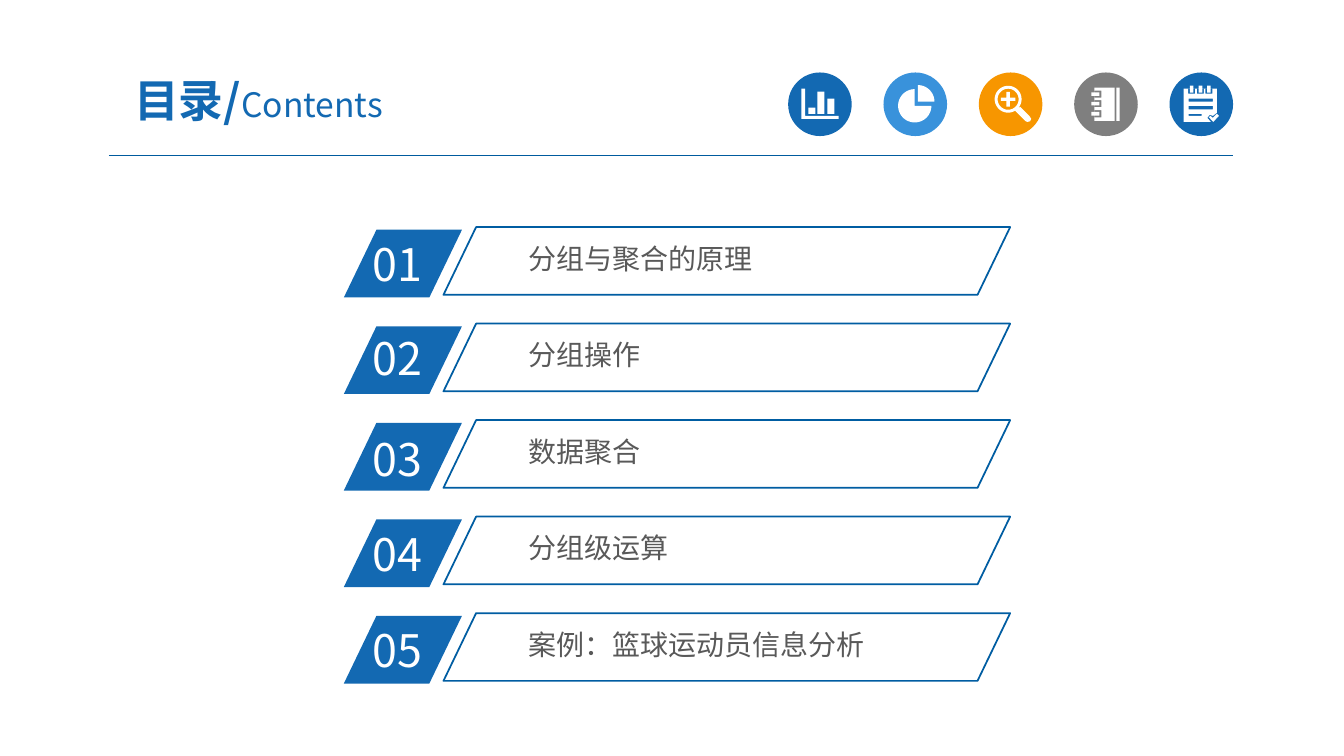
from dataclasses import dataclass
from math import cos, radians, sin

from lxml import etree
from pptx import Presentation
from pptx.dml.color import RGBColor
from pptx.enum.shapes import MSO_CONNECTOR, MSO_SHAPE
from pptx.enum.text import MSO_ANCHOR, MSO_AUTO_SIZE, PP_ALIGN
from pptx.oxml.ns import qn
from pptx.util import Pt

STRAIGHT = MSO_CONNECTOR.STRAIGHT
OVAL = MSO_SHAPE.OVAL
PARALLELOGRAM = MSO_SHAPE.PARALLELOGRAM
MIDDLE, TOP = MSO_ANCHOR.MIDDLE, MSO_ANCHOR.TOP
CENTER, LEFT = PP_ALIGN.CENTER, PP_ALIGN.LEFT
GROW, FIXED = MSO_AUTO_SIZE.SHAPE_TO_FIT_TEXT, MSO_AUTO_SIZE.NONE

Contour = list[tuple[float, float]]


@dataclass(frozen=True)
class Theme:
    font: str = "Noto Sans CJK SC"
    blue: str = "1369B2"
    sky: str = "3992DB"
    orange: str = "F79600"
    gray: str = "7F7F7F"
    rule: str = "005B9E"
    outline: str = "005DA2"
    body: str = "595959"
    white: str = "FFFFFF"
    title_size: float = 32
    subtitle_size: float = 24
    number_size: float = 32
    topic_size: float = 20


THEME = Theme()


@dataclass(frozen=True)
class Span:
    text: str
    size: float
    color: str
    bold: bool = False


@dataclass(frozen=True)
class Badge:
    color: str
    glyph: list[Contour]


@dataclass(frozen=True)
class Topic:
    number: str
    title: str
    number_top: float


def rect(left: float, top: float, right: float, bottom: float) -> Contour:
    return [(left, top), (right, top), (right, bottom), (left, bottom)]


def arc(x: float, y: float, radius: float, start: int = 0, end: int = 360) -> Contour:
    """Points along an arc, in degrees clockwise from the right."""
    angles = [radians(angle) for angle in range(start, end + 1, 6)]
    return [(x + radius * cos(angle), y + radius * sin(angle)) for angle in angles]


def sector(x: float, y: float, radius: float, start: int, end: int) -> Contour:
    return [(x, y)] + arc(x, y, radius, start, end)


def plus(x: float, y: float, reach: float, half: float) -> Contour:
    return [(x - half, y - reach), (x + half, y - reach), (x + half, y - half),
            (x + reach, y - half), (x + reach, y + half), (x + half, y + half),
            (x + half, y + reach), (x - half, y + reach), (x - half, y + half),
            (x - reach, y + half), (x - reach, y - half), (x - half, y - half)]


# Glyph points are measured from the top left of the disc; nested contours cut holes.
BAR_CHART = [
    [(9.4, 11.5), (12.2, 11.5), (12.2, 31), (36, 31), (36, 33.1), (9.4, 33.1)],
    rect(14.4, 25.2, 19.4, 29.5), rect(20.9, 13.7, 25.9, 29.5), rect(28.1, 18.7, 33.1, 29.5),
]
PIE_CHART = [sector(24.5, 20.9, 11.9, -90, 0), sector(22.3, 23.8, 11.9, 0, 270)]
MAGNIFIER = [
    arc(20.9, 19.1, 9.6), arc(20.9, 19.1, 7.5), plus(20.9, 19.1, 5.2, 1.2),
    [(29.5, 24.5), (36, 31), (37.4, 33.1), (36.5, 34.9), (34.6, 35.3), (33.1, 34.6), (25.9, 27.4)],
]
NOTEBOOK = [rect(30.2, 10.8, 32.4, 34.6), rect(14.4, 10.8, 28.8, 34.6)]
for ring_y in (15.5, 22.3, 29.5):
    NOTEBOOK += [rect(14.4, ring_y - 2.5, 19.4, ring_y + 2.5),
                 rect(12.2, ring_y - 1.3, 18, ring_y + 1.3)]
NOTEPAD = [
    [(10.1, 11.5), (33.8, 11.5), (33.8, 28.8), (31, 31), (28.8, 30.2), (27, 32.4),
     (29.5, 35.3), (10.1, 35.3)],
    [(28.1, 32), (29.2, 31), (31, 32.4), (33.8, 29.5), (35.3, 31), (31.2, 35.3)],
    rect(13.7, 18.7, 31, 20.9), rect(13.7, 23.9, 31, 26.3), rect(13.7, 29.5, 23, 31),
]
for ring_x in (15.8, 22.1, 28.1):
    NOTEPAD += [rect(ring_x - 2.5, 11.5, ring_x + 2.5, 15.1),
                rect(ring_x - 1.3, 9.4, ring_x + 1.3, 14.4)]

BADGES = [
    Badge(THEME.blue, BAR_CHART),
    Badge(THEME.sky, PIE_CHART),
    Badge(THEME.orange, MAGNIFIER),
    Badge(THEME.gray, NOTEBOOK),
    Badge(THEME.blue, NOTEPAD),
]
BADGE_LEFT, BADGE_TOP, BADGE_PITCH, BADGE_SIZE = 563, 51.8, 68.1, 45.4

TOPICS = [
    Topic("01", "分组与聚合的原理", 165.6),
    Topic("02", "分组操作", 232.6),
    Topic("03", "数据聚合", 304.6),
    Topic("04", "分组级运算", 373),
    Topic("05", "案例：篮球运动员信息分析", 441.4),
]
TOPIC_TOP, TOPIC_PITCH, TOPIC_HEIGHT = 162.2, 68.94, 48.4


def paint(shape, fill: str | None = None, line: str | None = None, width: float = 1.25) -> None:
    shape.shadow.inherit = False
    if fill:
        shape.fill.solid()
        shape.fill.fore_color.rgb = RGBColor.from_string(fill)
    else:
        shape.fill.background()
    if line:
        shape.line.color.rgb = RGBColor.from_string(line)
        shape.line.width = Pt(width)
    else:
        shape.line.fill.background()


def add_text(shapes, left: float, top: float, width: float, height: float, *spans: Span,
             align=LEFT, anchor=TOP, fit=GROW, inset_x: float = 7.2, inset_y: float = 3.6) -> None:
    box = shapes.add_textbox(Pt(left), Pt(top), Pt(width), Pt(height))
    frame = box.text_frame
    frame.word_wrap = True
    frame.auto_size = fit
    frame.vertical_anchor = anchor
    frame.margin_left = frame.margin_right = Pt(inset_x)
    frame.margin_top = frame.margin_bottom = Pt(inset_y)
    para = frame.paragraphs[0]
    para.alignment = align
    for span in spans:
        run = para.add_run()
        run.text = span.text
        run.font.size = Pt(span.size)
        run.font.bold = span.bold
        run.font.color.rgb = RGBColor.from_string(span.color)
        run.font.name = THEME.font
        etree.SubElement(run.font._element, qn("a:ea"), typeface=THEME.font)


def add_slanted(shapes, left: float, top: float, width: float, **style: str) -> None:
    shape = shapes.add_shape(PARALLELOGRAM, Pt(left), Pt(top), Pt(width), Pt(TOPIC_HEIGHT))
    shape.adjustments[0] = 0.482
    paint(shape, **style)


def add_badge(page, badge: Badge, left: float) -> None:
    shapes = page.shapes.add_group_shape().shapes
    disc = shapes.add_shape(OVAL, Pt(left), Pt(BADGE_TOP), Pt(BADGE_SIZE), Pt(BADGE_SIZE))
    paint(disc, fill=badge.color)
    contours = [[(Pt(left + x), Pt(BADGE_TOP + y)) for x, y in contour] for contour in badge.glyph]
    builder = shapes.build_freeform(*contours[0][0])
    for contour in contours:
        if contour is not contours[0]:
            builder.move_to(*contour[0])
        builder.add_line_segments(contour[1:], close=True)
    paint(builder.convert_to_shape(), fill=THEME.white)


def add_topic(page, topic: Topic, top: float) -> None:
    shapes = page.shapes.add_group_shape().shapes
    add_slanted(shapes, 245.6, top + 1.9, 84.4, fill=THEME.blue)
    add_text(shapes, 259.2, topic.number_top, 80.6, 46,
             Span(topic.number, THEME.number_size, THEME.white))
    add_text(shapes, 372.2, top + 7.5, 296.6, 29.5,
             Span(topic.title, THEME.topic_size, THEME.body), inset_x=5, inset_y=2.6)
    add_slanted(shapes, 316.8, top, 404.8, line=THEME.outline)


def main() -> None:
    deck = Presentation()
    deck.slide_width, deck.slide_height = Pt(960), Pt(540)
    page = deck.slides.add_slide(deck.slide_layouts[6])

    rule = page.shapes.add_connector(STRAIGHT, Pt(77.8), Pt(111.4), Pt(880.6), Pt(111.4))
    rule.line.color.rgb = RGBColor.from_string(THEME.rule)
    rule.line.width = Pt(0.75)
    etree.SubElement(rule._element.spPr, qn("a:effectLst"))

    for index, badge in enumerate(BADGES):
        add_badge(page, badge, BADGE_LEFT + index * BADGE_PITCH)
    add_text(page.shapes, 66.2, 45.4, 236.9, 51.8,
             Span("目录/", THEME.title_size, THEME.blue, bold=True),
             Span("Contents", THEME.subtitle_size, THEME.blue),
             align=CENTER, anchor=MIDDLE, fit=FIXED, inset_x=9.4, inset_y=5)
    for index, topic in enumerate(TOPICS):
        add_topic(page, topic, TOPIC_TOP + index * TOPIC_PITCH)
    deck.save("out.pptx")


if __name__ == "__main__":
    main()
